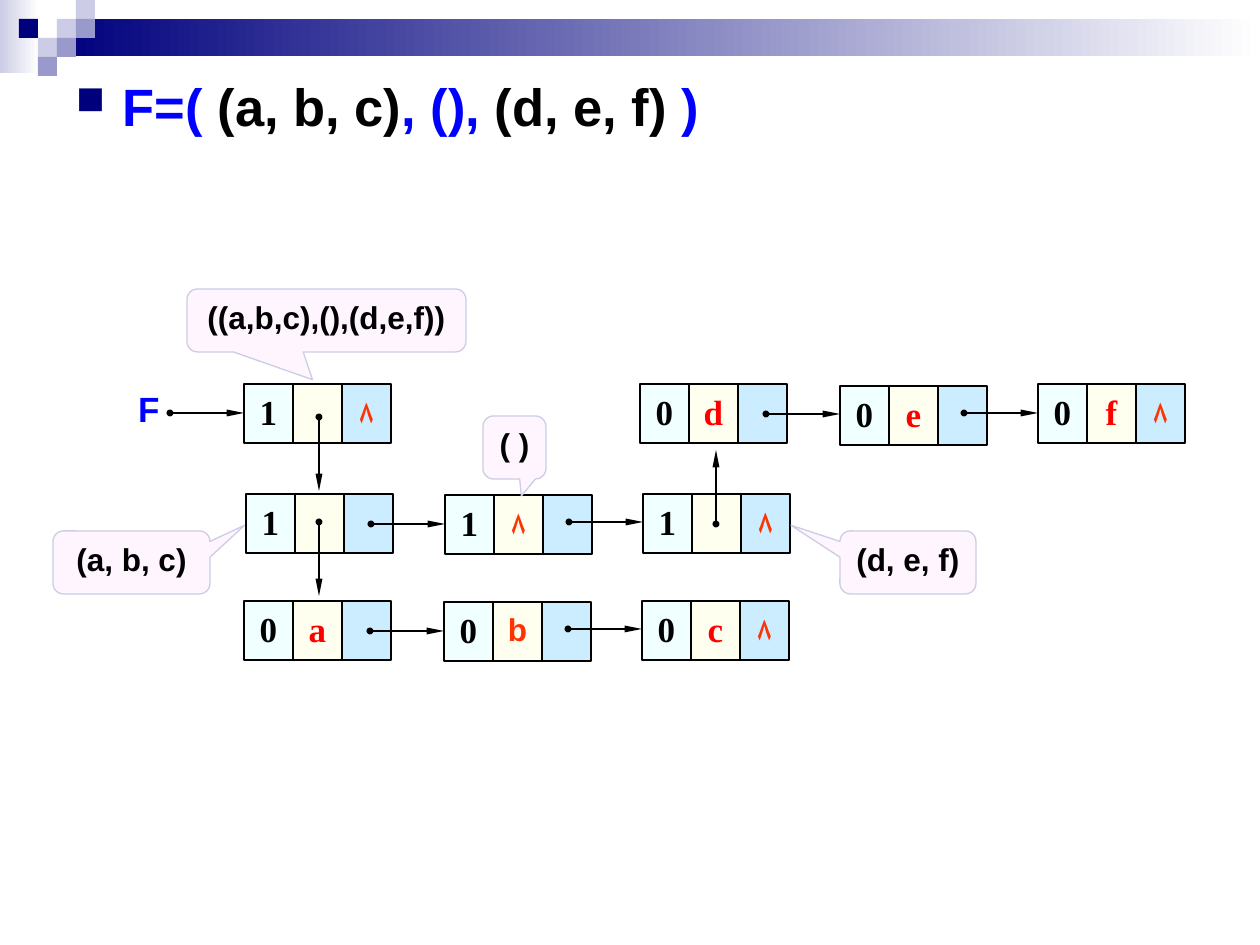
from dataclasses import dataclass

from lxml import etree
from pptx import Presentation
from pptx.dml.color import RGBColor
from pptx.enum.shapes import MSO_CONNECTOR, MSO_SHAPE
from pptx.enum.text import MSO_ANCHOR, PP_ALIGN
from pptx.oxml.ns import qn
from pptx.util import Pt

RECTANGLE = MSO_SHAPE.RECTANGLE
CALLOUT = MSO_SHAPE.ROUNDED_RECTANGULAR_CALLOUT
STRAIGHT = MSO_CONNECTOR.STRAIGHT
CENTER, LEFT = PP_ALIGN.CENTER, PP_ALIGN.LEFT
MIDDLE, TOP = MSO_ANCHOR.MIDDLE, MSO_ANCHOR.TOP

PX_PER_INCH = 126
CELL_W, CELL_H, CELL_STEP = 49, 59, 49
ARROW_LENGTH = 74
GRID = 19
NULL = "۸"


@dataclass(frozen=True)
class Theme:
    sans: str = "Arial"
    serif: str = "Times New Roman"
    navy: str = "00007D"
    violet: str = "9999CC"
    lavender: str = "CCCCE6"
    white: str = "FFFFFF"
    black: str = "000000"
    blue: str = "0000FF"
    red: str = "FF0000"
    orange: str = "FF3300"
    tag_fill: str = "F0FFFF"
    data_fill: str = "FFFFF0"
    next_fill: str = "CCECFF"
    callout_fill: str = "FFF5FF"
    heading_size: int = 30
    node_size: int = 20
    label_size: int = 18
    line_width: float = 0.75


THEME = Theme()


def px(length):
    return round(length * 914400 / PX_PER_INCH)


def rgb(value):
    return RGBColor.from_string(value)


def style_font(paragraph, size, name, color=None):
    font = paragraph.font
    font.size, font.name, font.bold = Pt(size), name, True
    if color:
        font.color.rgb = rgb(color)
    properties = paragraph._p.pPr.find(qn("a:defRPr"))
    etree.SubElement(properties, qn("a:cs")).set("typeface", name)


def set_frame(frame, insets, wrap, anchor=TOP):
    frame.word_wrap, frame.vertical_anchor = wrap, anchor
    (frame.margin_left, frame.margin_top,
     frame.margin_right, frame.margin_bottom) = map(px, insets)


def write(frame, text, size, name, color, align=CENTER):
    paragraph = frame.paragraphs[0]
    paragraph.text, paragraph.alignment = text, align
    style_font(paragraph, size, name, color)


def add_box(slide, kind, bounds, fill, line=None):
    box = slide.shapes.add_shape(kind, *map(px, bounds))
    box.shadow.inherit = False
    box.fill.solid()
    box.fill.fore_color.rgb = rgb(fill)
    if line:
        box.line.color.rgb = rgb(line)
        box.line.width = Pt(THEME.line_width)
    else:
        box.line.fill.background()
    return box


def add_fading_band(slide, bounds, start):
    band = add_box(slide, RECTANGLE, bounds, start)
    band.fill.gradient()
    band.fill.gradient_angle = 0
    for stop, color in zip(band.fill.gradient_stops, (start, THEME.white)):
        stop.color.rgb = rgb(color)


def add_header(slide):
    add_fading_band(slide, (0, 0, 39, 73), THEME.lavender)
    add_fading_band(slide, (57, 19, 1203, 37), THEME.navy)
    squares = [(3, 1, THEME.lavender), (4, 0, THEME.lavender),
               (4, 1, THEME.violet), (2, 2, THEME.lavender),
               (1, 1, THEME.navy), (3, 2, THEME.violet),
               (2, 3, THEME.violet)]
    for column, row, color in squares:
        add_box(slide, RECTANGLE,
                (column * GRID, row * GRID, GRID, GRID), color)


def add_heading(slide, parts):
    heading = slide.shapes.add_textbox(*map(px, (63, 63, 1134, 882)))
    set_frame(heading.text_frame, (13, 11, 13, 6), True)
    paragraph = heading.text_frame.paragraphs[0]
    properties = paragraph._p.get_or_add_pPr()
    properties.set("marL", str(px(47)))
    properties.set("indent", str(-px(47)))
    color = etree.SubElement(properties, qn("a:buClr"))
    etree.SubElement(color, qn("a:srgbClr")).set("val", THEME.navy)
    etree.SubElement(properties, qn("a:buSzPct")).set("val", "75000")
    etree.SubElement(properties, qn("a:buChar")).set("char", "■")
    style_font(paragraph, THEME.heading_size, THEME.sans)
    for text, part_color in parts:
        run = paragraph.add_run()
        run.text = text
        run.font.color.rgb = rgb(part_color)


def add_cell(slide, left, top, fill, text, style):
    cell = add_box(slide, RECTANGLE, (left, top, CELL_W, CELL_H),
                   fill, THEME.black)
    if text:
        set_frame(cell.text_frame, (13, 1, 13, 6), False, MIDDLE)
        write(cell.text_frame, text, *style)


def add_node(slide, left, top, tag, data, following):
    """Draw one list node: tag, data or sublist, and next cell."""
    number = (THEME.node_size, THEME.serif, THEME.black)
    atom = (THEME.node_size, THEME.serif, THEME.red)
    marker = (THEME.label_size, THEME.sans, THEME.orange)
    data_style = marker if data in (NULL, "b") else atom
    add_cell(slide, left + CELL_STEP, top, THEME.data_fill, data, data_style)
    add_cell(slide, left + 2 * CELL_STEP, top, THEME.next_fill,
             following, marker)
    add_cell(slide, left, top, THEME.tag_fill, tag, number)


def add_pointer(slide, left, top, right=0, down=0):
    """Draw an arrow with a dot at its start; right and down give its way."""
    pointer = slide.shapes.add_connector(
        STRAIGHT, px(left), px(top),
        px(left + right * ARROW_LENGTH), px(top + down * ARROW_LENGTH))
    pointer.line.color.rgb = rgb(THEME.black)
    pointer.line.width = Pt(THEME.line_width)
    line = pointer.line._get_or_add_ln()
    for end, kind, length in (("headEnd", "oval", "sm"),
                              ("tailEnd", "triangle", "lg")):
        etree.SubElement(line, qn(f"a:{end}"), type=kind, w="sm", len=length)
    etree.SubElement(pointer._element.spPr, qn("a:effectLst"))


def add_callout(slide, bounds, text, tip):
    callout = add_box(slide, CALLOUT, bounds,
                      THEME.callout_fill, THEME.lavender)
    callout.adjustments[0], callout.adjustments[1] = tip
    set_frame(callout.text_frame, (13, 6, 13, 6), True)
    write(callout.text_frame, text, THEME.label_size, THEME.sans, THEME.black)


def add_list_name(slide):
    label = slide.shapes.add_textbox(*map(px, (125, 381, 47, 55)))
    set_frame(label.text_frame, (13, 6, 13, 6), False)
    write(label.text_frame, "F", THEME.node_size, THEME.sans, THEME.blue, LEFT)


def main():
    deck = Presentation()
    deck.slide_width, deck.slide_height = px(1260), px(945)
    slide = deck.slides.add_slide(deck.slide_layouts[6])
    add_header(slide)
    add_heading(slide, [("F=( ", THEME.blue), ("(a, b, c)", THEME.black),
                        (", (), ", THEME.blue), ("(d, e, f) ", THEME.black),
                        (")", THEME.blue)])
    add_list_name(slide)
    nodes = [(244, 384, "1", "", NULL), (246, 494, "1", "", ""),
             (445, 495, "1", NULL, ""), (643, 494, "1", "", NULL),
             (640, 384, "0", "d", ""), (840, 386, "0", "e", ""),
             (1038, 384, "0", "f", NULL), (244, 601, "0", "a", ""),
             (444, 602, "0", "b", ""), (642, 601, "0", "c", NULL)]
    for node in nodes:
        add_node(slide, *node)
    for left, top in [(170, 413), (371, 524), (569, 522), (766, 414),
                      (964, 413), (370, 631), (568, 629)]:
        add_pointer(slide, left, top, right=1)
    for left, top, down in [(319, 417, 1), (319, 522, 1), (716, 524, -1)]:
        add_pointer(slide, left, top, down=down)
    callouts = [
        ((187, 289, 279, 63), "((a,b,c),(),(d,e,f))", (-0.05, 0.94)),
        ((483, 416, 63, 63), "( )", (0.11, 0.77)),
        ((53, 531, 157, 63), "(a, b, c)", (0.72, -0.59)),
        ((840, 531, 136, 63), "(d, e, f)", (-0.86, -0.59))]
    for callout in callouts:
        add_callout(slide, *callout)


    deck.save("out.pptx")


if __name__ == "__main__":
    main()
